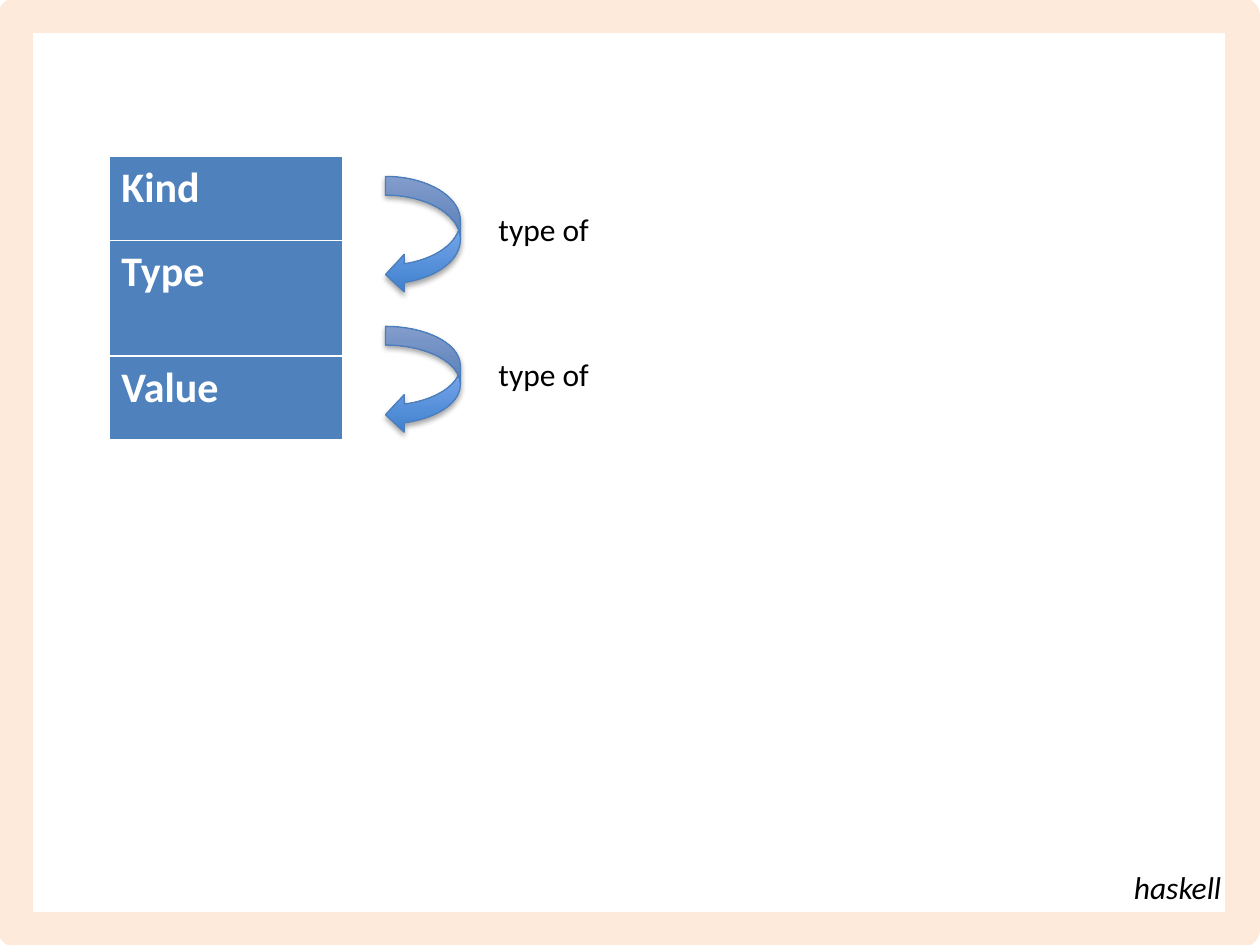
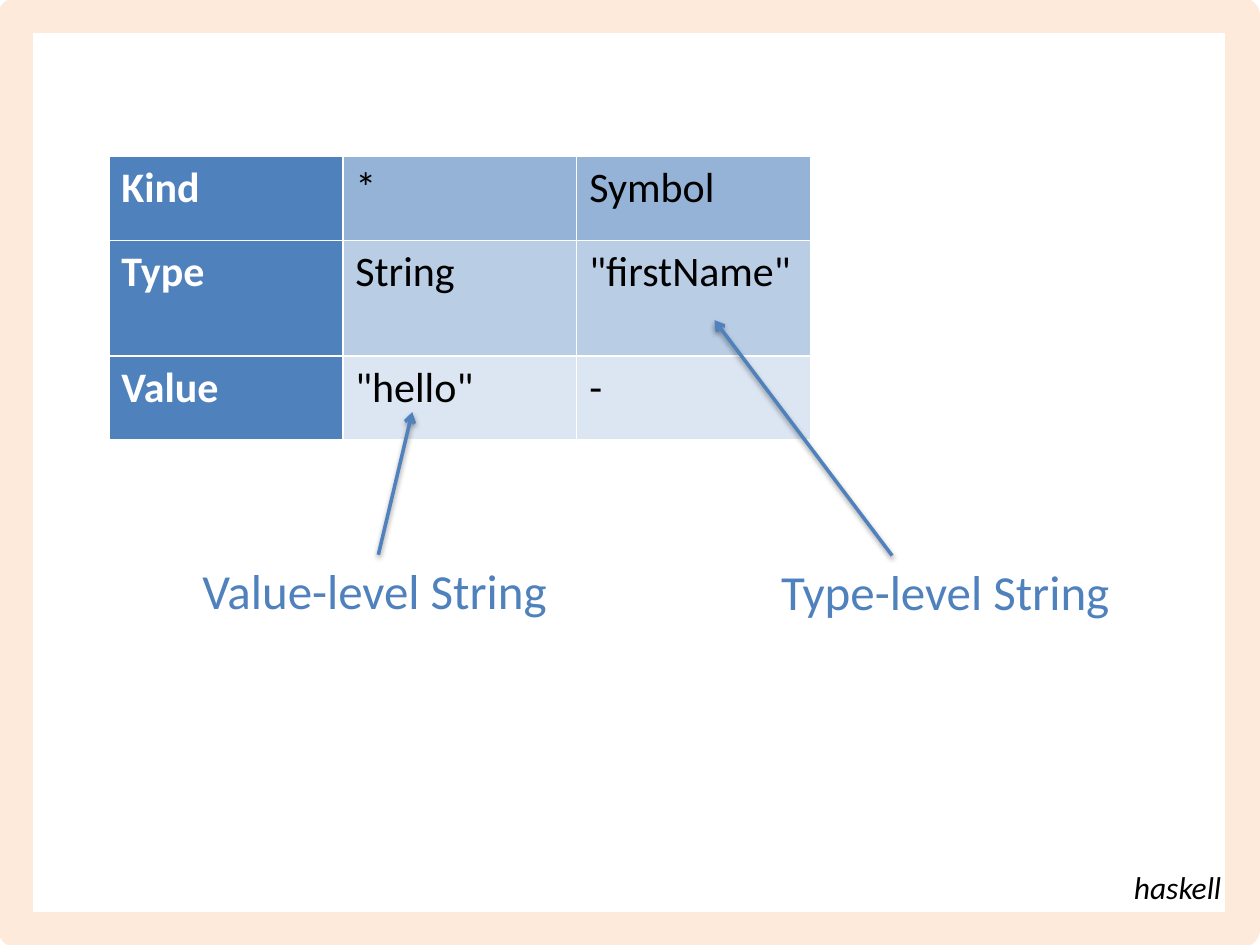
"""Build two slides on kinds, types and values in Haskell."""
import pptx
import pptx.dml.color
import pptx.enum.dml
import pptx.enum.shapes
import pptx.enum.text
import pptx.oxml
import pptx.oxml.ns
import pptx.util

Pt = pptx.util.Pt
FONT = "Calibri"
COLORS = {
    "accent": "4F81BD", "white": "FFFFFF", "black": "000000", "frame": "FDEADA",
    "kind": "95B3D7", "type": "B9CDE5", "value": "DCE6F2",
    "arrow_bottom": "3F80CE", "arrow_top": "A4C4FF", "arrow_line": "4B7EBC",
}
LEVELS = ("Kind", "Type", "Value")
ROW_HEIGHTS = (48, 66, 48)
TABLE_BOX = (62.2, 89.4, 401.1, sum(ROW_HEIGHTS))
FRAME_BOX = (9, 9, 701, 522)
FOOTER_BOX = (635, 492.5, 70, 29)


def rgb(name):
    return pptx.dml.color.RGBColor.from_string(COLORS[name])


def points(*lengths):
    return [Pt(length) for length in lengths]


def xml(tag, attributes, content=""):
    namespace = pptx.oxml.ns.nsdecls("a")
    return pptx.oxml.parse_xml(f"<a:{tag} {namespace} {attributes}>{content}</a:{tag}>")


def add_run(para, text, size, color, bold=False, italic=False):
    span = para.add_run()
    span.text = text
    font = span.font
    font.name, font.size, font.bold, font.italic = FONT, Pt(size), bold, italic
    font.color.rgb = rgb(color)


def add_shadow(shape, distance, opacity):
    properties = shape._element.spPr
    for effects in properties.findall(pptx.oxml.ns.qn("a:effectLst")):
        properties.remove(effects)
    color = f'<a:srgbClr val="{COLORS["black"]}"><a:alpha val="{opacity * 1000}"/></a:srgbClr>'
    shadow = (f'<a:outerShdw blurRad="{Pt(3.15)}" dist="{Pt(distance)}" dir="5400000" '
              f'rotWithShape="0">{color}</a:outerShdw>')
    properties.append(xml("effectLst", "", shadow))


def add_label(page, box, text, size, color, italic=False, align="LEFT"):
    label = page.shapes.add_textbox(*points(*box))
    frame = label.text_frame
    frame.word_wrap = False
    frame.auto_size = pptx.enum.text.MSO_AUTO_SIZE.SHAPE_TO_FIT_TEXT
    para = frame.paragraphs[0]
    para.alignment = getattr(pptx.enum.text.PP_ALIGN, align)
    add_run(para, text, size, color, italic=italic)
    return label


def fill_cell(cell, text, fill, color, bold):
    properties = cell._tc.get_or_add_tcPr()
    line = f'<a:solidFill><a:srgbClr val="{COLORS["white"]}"/></a:solidFill>'
    for side in "LRTB":
        properties.append(xml(f"ln{side}", f'w="{Pt(1)}"', line))
    if not text:
        cell.fill.background()
        return
    cell.fill.solid()
    cell.fill.fore_color.rgb = rgb(fill)
    add_run(cell.text_frame.paragraphs[0], text, 24, color, bold)


def add_level_table(page, box, examples):
    table = page.shapes.add_table(3, 3, *points(*box)).table
    table.first_row = table.horz_banding = False
    for column in table.columns:
        column.width = Pt(box[2] / 3)
    for index, (level, height) in enumerate(zip(LEVELS, ROW_HEIGHTS)):
        table.rows[index].height = Pt(height)
        fill_cell(table.cell(index, 0), level, "accent", "white", True)
        for column, text in enumerate(examples[index], 1):
            fill_cell(table.cell(index, column), text, level.lower(), "black", False)


def add_type_of_step(page, box, label_top):
    left, top, width, height = box
    kind = pptx.enum.shapes.MSO_SHAPE.CURVED_LEFT_ARROW
    arrow = page.shapes.add_shape(kind, *points(*box))
    arrow.fill.gradient()
    arrow.fill.gradient_angle = 90
    for stop, name in zip(arrow.fill.gradient_stops, ("arrow_bottom", "arrow_top")):
        stop.color.rgb = rgb(name)
    arrow.line.color.rgb = rgb("arrow_line")
    arrow.line.width = Pt(0.75)
    add_shadow(arrow, 1.8, 35)
    add_label(page, (left + 57.5, top + label_top, 67, 29), "type of", 18, "black")


def add_pointer(page, label, start, end):
    kind = pptx.enum.shapes.MSO_CONNECTOR.STRAIGHT
    pointer = page.shapes.add_connector(kind, *points(*start, *end))
    middle = label.left + label.width / 2
    if abs(Pt(start[0]) - middle) < Pt(2):
        pointer.begin_connect(label, 0)
    pointer.line.color.rgb = rgb("accent")
    pointer.line.width = Pt(2)
    pointer.line._get_or_add_ln().append(xml("tailEnd", 'type="arrow"'))
    add_shadow(pointer, 1.6, 38)


def add_callout(page, box, text, start_offset, target):
    label = add_label(page, box, text, 28, "accent")
    add_pointer(page, label, (box[0] + start_offset, box[1]), target)


def add_page(deck, examples):
    page = deck.slides.add_slide(deck.slide_layouts[6])
    page.background.fill.solid()
    page.background.fill.fore_color.rgb = rgb("white")
    add_level_table(page, TABLE_BOX, examples)
    return page


def add_frame_and_footer(page):
    add_label(page, FOOTER_BOX, "haskell", 18, "black", italic=True, align="RIGHT")
    kind = pptx.enum.shapes.MSO_SHAPE.RECTANGLE
    frame = page.shapes.add_shape(kind, *points(*FRAME_BOX))
    frame.shadow.inherit = False
    frame.fill.background()
    frame.line.color.rgb = rgb("frame")
    frame.line.width = Pt(20)


def build_levels_page(deck):
    page = add_page(deck, [("", "")] * 3)
    add_type_of_step(page, (220.3, 100.8, 42.8, 66.8), 15.4)
    add_type_of_step(page, (220.3, 186.5, 42.8, 61.2), 13)
    add_frame_and_footer(page)


def build_strings_page(deck):
    page = add_page(deck, [("*", "Symbol"), ("String", '"firstName"'), ('"hello"', "-")])
    add_callout(page, (108.6, 317, 215.2, 41), "Value-level String", 107.6, (235.6, 235.5))
    add_callout(page, (439.2, 317.5, 206, 41), "Type-level String", 70.6, (408.3, 183))
    add_frame_and_footer(page)


def main():
    deck = pptx.Presentation()
    deck.slide_width, deck.slide_height = points(720, 540)
    build_levels_page(deck)
    build_strings_page(deck)
    deck.save("out.pptx")


if __name__ == "__main__":
    main()
